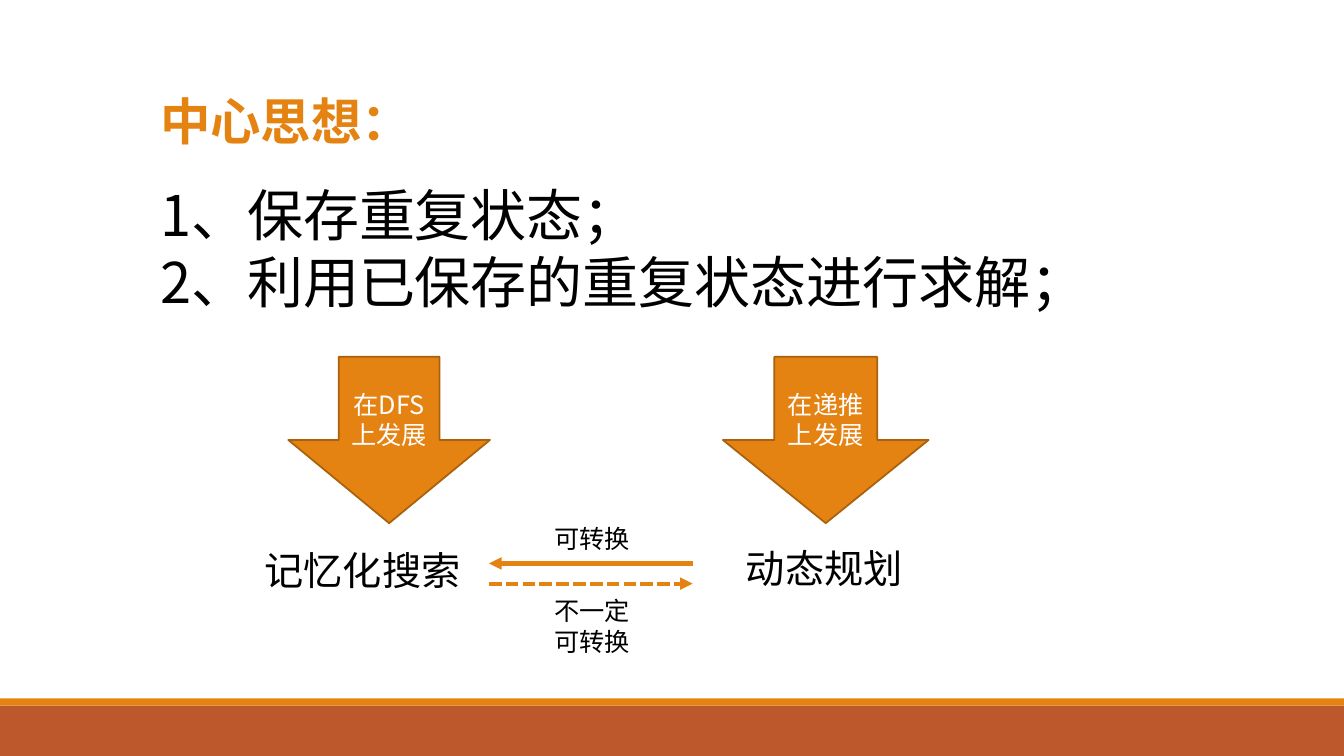
import pptx
import pptx.util
import pptx.dml.color
import pptx.enum.dml
import pptx.enum.shapes
import pptx.enum.text
import pptx.oxml.ns
from lxml import etree

Inches = pptx.util.Inches
Pt = pptx.util.Pt
SHAPE = pptx.enum.shapes.MSO_SHAPE
ALIGN = pptx.enum.text.PP_ALIGN
ANCHOR = pptx.enum.text.MSO_ANCHOR
qn = pptx.oxml.ns.qn

FONT = "Noto Sans CJK SC"
COLORS = {"orange": "E48312", "rust": "BD582C", "edge": "A9610D",
          "black": "000000", "white": "FFFFFF"}


def rgb(name):
    return pptx.dml.color.RGBColor.from_string(COLORS[name])


def add_run(p, text, size, color="black", bold=False):
    r = p.add_run()
    r.text = text
    r.font.size = Pt(size)
    r.font.name = FONT
    r.font.bold = bold
    r.font.color.rgb = rgb(color)
    ea = etree.SubElement(r.font._element, qn("a:ea"))
    ea.set("typeface", FONT)


def add_text(s, box, lines, align=ALIGN.LEFT):
    """Each line is (space before, text, size, colour, bold)."""
    tf = s.shapes.add_textbox(*map(Inches, box)).text_frame
    tf.word_wrap = True
    for i, (before, *run) in enumerate(lines):
        p = tf.paragraphs[0] if i == 0 else tf.add_paragraph()
        p.alignment = align
        if before:
            p.space_before = Pt(before)
        add_run(p, *run)


def add_block(s, kind, box, fill, edge=None):
    sp = s.shapes.add_shape(kind, *map(Inches, box))
    sp.shadow.inherit = False
    sp.fill.solid()
    sp.fill.fore_color.rgb = rgb(fill)
    if edge:
        sp.line.color.rgb = rgb(edge)
        sp.line.width = Pt(1.25)
    else:
        sp.line.fill.background()
    return sp


def add_down_arrow(s, left, width, text):
    sp = add_block(s, SHAPE.DOWN_ARROW, (left, 3.54, width, 1.65), "orange", "edge")
    tf = sp.text_frame
    tf.word_wrap = True
    tf.vertical_anchor = ANCHOR.MIDDLE
    p = tf.paragraphs[0]
    p.alignment = ALIGN.CENTER
    add_run(p, text, 18, "white")


def add_link(s, start, end, y, dash=None):
    cn = s.shapes.add_connector(pptx.enum.shapes.MSO_CONNECTOR.STRAIGHT,
                                Inches(start), Inches(y), Inches(end), Inches(y))
    cn.line.color.rgb = rgb("orange")
    cn.line.width = Pt(3)
    if dash:
        cn.line.dash_style = dash
    ln = cn.line._get_or_add_ln()
    etree.SubElement(ln, qn("a:tailEnd")).set("type", "triangle")
    etree.SubElement(cn._element.spPr, qn("a:effectLst"))


def main():
    prs = pptx.Presentation()
    prs.slide_width, prs.slide_height = Inches(13.33), Inches(7.5)
    s = prs.slides.add_slide(prs.slide_layouts[6])

    # Footer bands
    add_block(s, SHAPE.RECTANGLE, (0, 7, 13.33, 0.5), "rust")
    add_block(s, SHAPE.RECTANGLE, (0, 6.93, 13.33, 0.07), "orange")

    # Heading and the two ideas
    add_text(s, (1.49, 0.84, 11.03, 2.36), [
        (0, "中心思想：", 36, "orange", True),
        (21.6, "1、保存重复状态；", 40),
        (0, "2、利用已保存的重复状态进行求解；", 40),
    ])

    # Two developments and their results
    add_down_arrow(s, 2.86, 2, "在DFS上发展")
    add_down_arrow(s, 7.17, 2.04, "在递推上发展")
    add_text(s, (2.42, 5.37, 2.35, 0.57), [(0, "记忆化搜索", 28)], ALIGN.CENTER)
    add_text(s, (7, 5.35, 2.35, 0.57), [(0, "动态规划", 28)], ALIGN.CENTER)

    # Conversions between them
    add_link(s, 6.87, 4.85, 5.59)
    add_link(s, 4.85, 6.87, 5.79, pptx.enum.dml.MSO_LINE.SQUARE_DOT)
    add_text(s, (5.4, 5.14, 0.96, 0.4), [(0, "可转换", 18)])
    add_text(s, (5.4, 5.86, 0.96, 0.71), [(0, "不一定可转换", 18)])

    prs.save("out.pptx")


if __name__ == "__main__":
    main()
